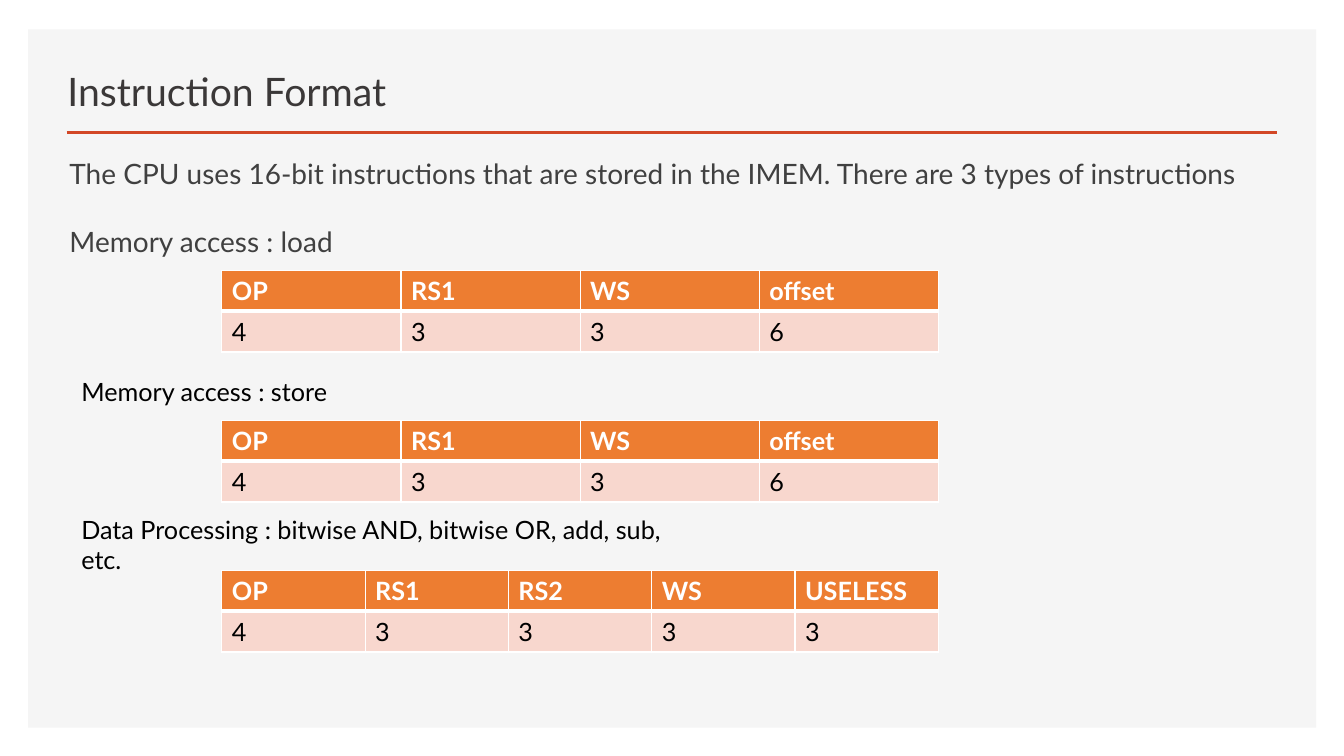
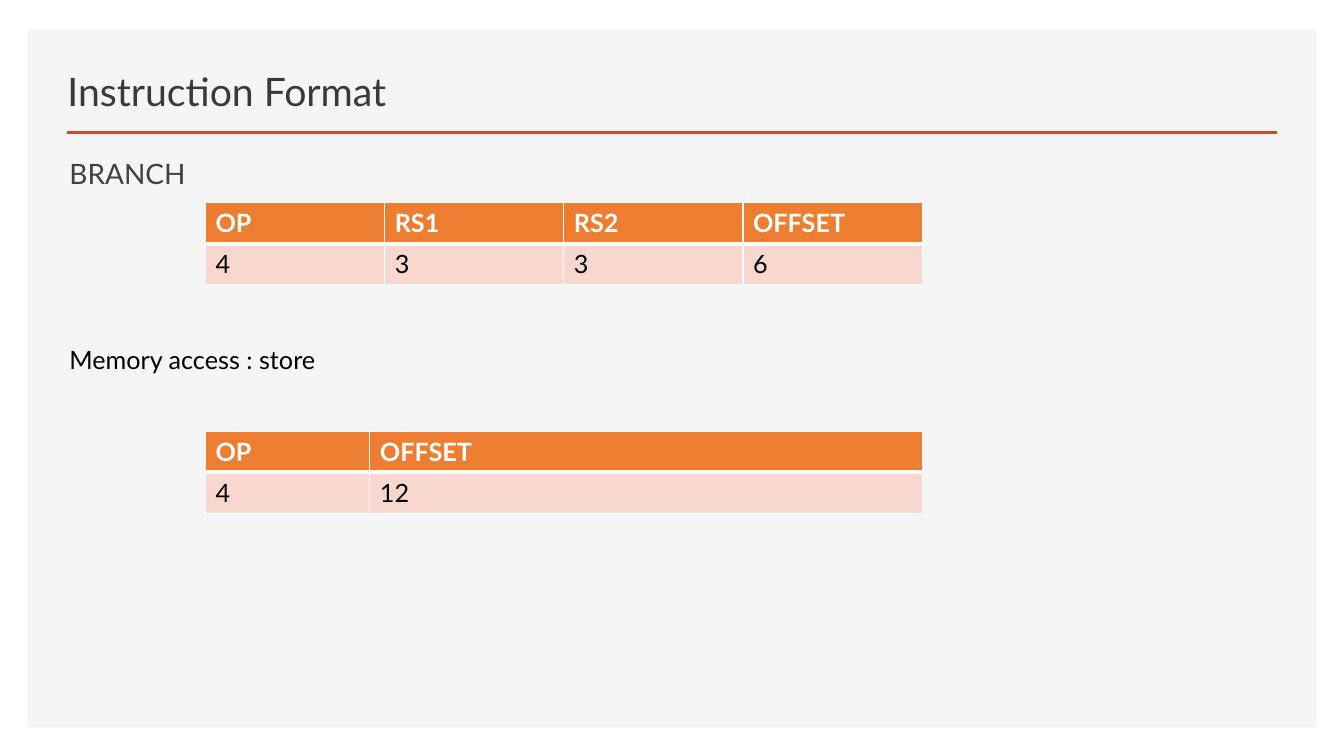
from lxml import etree
from pptx import Presentation
from pptx.dml.color import RGBColor
from pptx.enum.shapes import MSO_CONNECTOR, MSO_SHAPE
from pptx.enum.text import MSO_ANCHOR
from pptx.oxml.ns import qn
from pptx.util import Cm, Pt

RECTANGLE = MSO_SHAPE.RECTANGLE
STRAIGHT = MSO_CONNECTOR.STRAIGHT
TOP, BOTTOM = MSO_ANCHOR.TOP, MSO_ANCHOR.BOTTOM

FONT = "Lato"
WHITE = RGBColor(0xFF, 0xFF, 0xFF)
BLACK = RGBColor(0x00, 0x00, 0x00)
PANEL = RGBColor(0xF5, 0xF5, 0xF5)
RULE = RGBColor(0xD2, 0x47, 0x26)
TITLE = RGBColor(0x3B, 0x38, 0x38)
BODY = RGBColor(0x40, 0x40, 0x40)
HEADER = RGBColor(0xED, 0x7D, 0x31)
VALUE = RGBColor(0xF8, 0xD7, 0xCE)

TABLE_WIDTH = 18.06
ROW_HEIGHT = 1.03


def add_span(para, text, size, color, bold=False):
    span = para.add_run()
    span.text = text
    span.font.name = FONT
    span.font.size = Pt(size)
    span.font.bold = bold
    span.font.color.rgb = color


def add_text(page, box, texts, size, color, anchor=TOP):
    """Write one paragraph per text and return the paragraphs."""
    frame = page.shapes.add_textbox(*map(Cm, box)).text_frame
    frame.word_wrap = True
    frame.vertical_anchor = anchor
    for index, text in enumerate(texts):
        para = frame.add_paragraph() if index else frame.paragraphs[0]
        add_span(para, text, size, color)
    return frame.paragraphs


def add_body(page, texts):
    box = (1.5, 4.04, 30.76, 1.42 + 2.64 * (len(texts) - 1))
    for para in add_text(page, box, texts, 20, BODY):
        para.line_spacing = Pt(18)
        para.space_before = Pt(10)
        para.space_after = Pt(20)


def add_caption(page, left, top, text):
    add_text(page, (left, top, 16.15, 1.02), [text], 18, BLACK)


def set_borders(cell, top, bottom):
    """Draw white cell edges; the sides are 1 pt wide."""
    properties = cell._tc.get_or_add_tcPr()
    edges = (("a:lnL", 1), ("a:lnR", 1), ("a:lnT", top), ("a:lnB", bottom))
    for index, (tag, width) in enumerate(edges):
        edge = etree.Element(qn(tag), w=str(Pt(width)))
        fill = etree.SubElement(edge, qn("a:solidFill"))
        etree.SubElement(fill, qn("a:srgbClr"), val=str(WHITE))
        properties.insert(index, edge)


def add_format_table(page, left, top, fields, widths=None):
    """Show the fields of an instruction above their sizes in bits."""
    count = len(fields)
    widths = widths or [TABLE_WIDTH / count] * count
    table = page.shapes.add_table(
        2, count, Cm(left), Cm(top), Cm(TABLE_WIDTH), Cm(2 * ROW_HEIGHT)).table
    table.horz_banding = False
    for column, width in zip(table.columns, widths):
        column.width = Cm(width)
    # Fill, text colour, bold, top and bottom edge of each row
    styles = ((HEADER, WHITE, True, 1, 3), (VALUE, BLACK, False, 3, 1))
    for row, (fill, color, bold, upper, lower) in enumerate(styles):
        table.rows[row].height = Cm(ROW_HEIGHT)
        for column, field in enumerate(fields):
            cell = table.cell(row, column)
            cell.fill.solid()
            cell.fill.fore_color.rgb = fill
            set_borders(cell, upper, lower)
            add_span(cell.text_frame.paragraphs[0], field[row], 18, color, bold)


def add_page(deck, title):
    """Add a page with the shared panel, title and rule."""
    page = deck.slides.add_slide(deck.slide_layouts[6])
    panel = page.shapes.add_shape(RECTANGLE, *map(Cm, (0.71, 0.74, 32.46, 17.6)))
    panel.shadow.inherit = False
    panel.fill.solid()
    panel.fill.fore_color.rgb = PANEL
    panel.line.fill.background()

    rule = page.shapes.add_connector(STRAIGHT, *map(Cm, (1.68, 3.33, 32.18, 3.33)))
    rule.line.color.rgb = RULE
    rule.line.width = Pt(2)
    etree.SubElement(rule._element.spPr, qn("a:effectLst"))

    add_text(page, (1.45, 1.24, 19.1, 1.78), [title], 28, TITLE, BOTTOM)
    return page


def build_data_page(deck):
    page = add_page(deck, "Instruction Format")
    add_body(page, [
        "The CPU uses 16-bit instructions that are stored in the IMEM. "
        "There are 3 types of instructions",
        "Memory access : load",
    ])
    add_caption(page, 1.8, 9.37, "Memory access : store")
    add_caption(page, 1.8, 12.83,
                "Data Processing : bitwise AND, bitwise OR, add, sub, etc.")
    memory = [("OP", "4"), ("RS1", "3"), ("WS", "3"), ("offset", "6")]
    processing = [("OP", "4"), ("RS1", "3"), ("RS2", "3"), ("WS", "3"),
                  ("USELESS", "3")]
    for index, fields in enumerate((memory, memory, processing)):
        add_format_table(page, 5.59, 6.81 + 3.78 * index, fields)


def build_branch_page(deck):
    page = add_page(deck, "Instruction Format")
    add_body(page, ["BRANCH"])
    add_format_table(page, 5.18, 5.11, [
        ("OP", "4"), ("RS1", "3"), ("RS2", "3"), ("OFFSET", "6")])
    add_caption(page, 1.5, 8.56, "Memory access : store")
    add_format_table(page, 5.18, 10.87, [("OP", "4"), ("OFFSET", "12")],
                     [4.14, 13.92])


def main():
    deck = Presentation()
    deck.slide_width, deck.slide_height = Cm(33.87), Cm(19.05)
    build_data_page(deck)
    build_branch_page(deck)
    deck.save("out.pptx")


if __name__ == "__main__":
    main()
